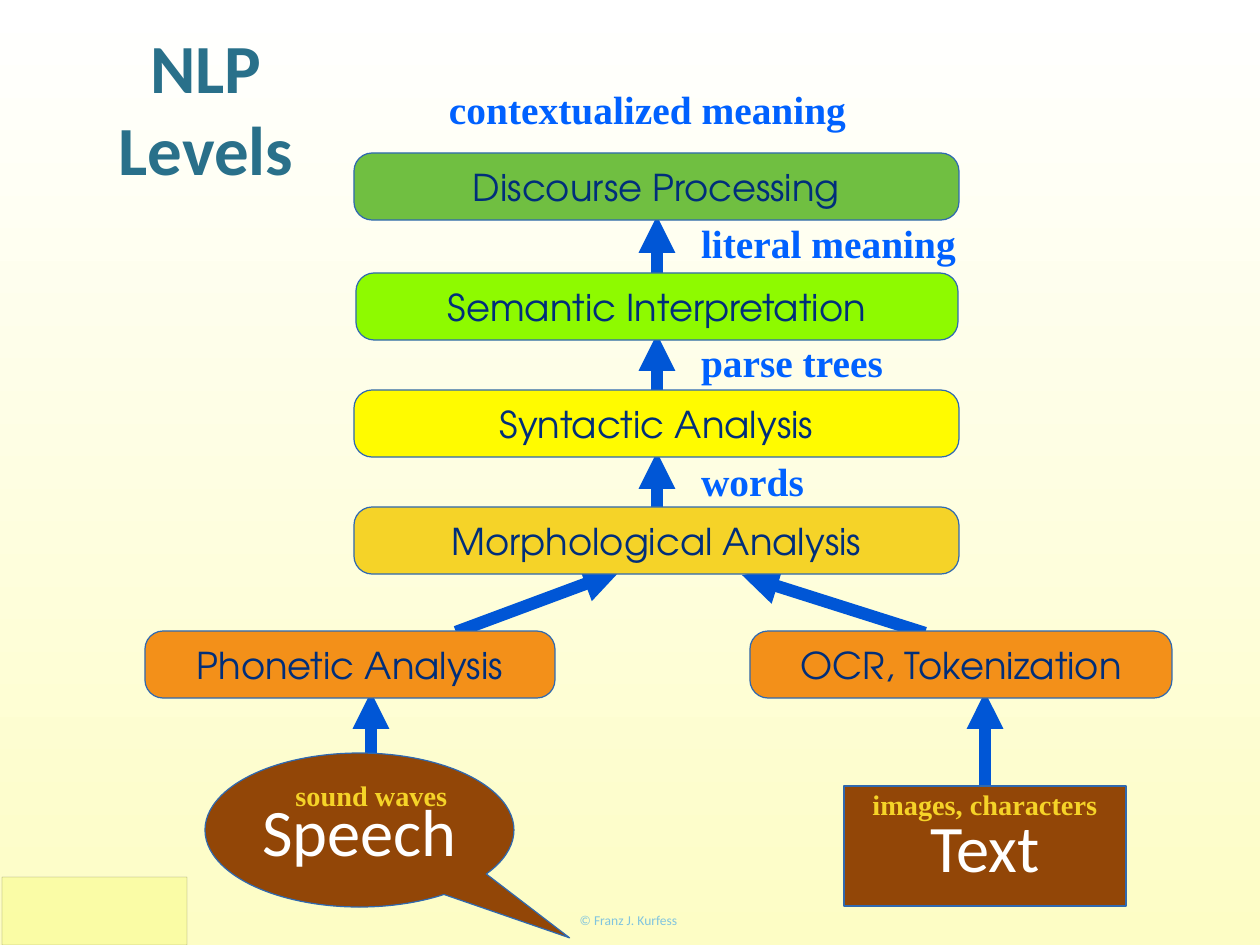
from typing import NamedTuple

from lxml.etree import SubElement
from pptx import Presentation
from pptx.dml.color import RGBColor
from pptx.enum.shapes import MSO_CONNECTOR, MSO_SHAPE
from pptx.enum.text import MSO_ANCHOR, MSO_AUTO_SIZE, PP_ALIGN
from pptx.oxml.ns import qn
from pptx.shapes.autoshape import Shape
from pptx.slide import Slide
from pptx.text.text import TextFrame
from pptx.util import Emu, Pt

PIXEL = 914400 / 88.6
COLORS = {
    "cream": "FDFDC5", "white": "FFFFFF", "corner": "F8FC84", "black": "000000",
    "footer": "80C4DF", "title": "29708A", "arrow": "0056D6", "outline": "2F69B0",
    "source": "924607", "orange": "F39019", "gold": "F5D328", "yellow": "FFFB00",
    "lime": "8EFA00", "green": "70BF41", "navy": "002E7A", "blue": "0061FF",
}


class Area(NamedTuple):
    """Left, top, width and height in pixels."""
    left: int
    top: int
    width: int
    height: int


class TextStyle(NamedTuple):
    """Look of one paragraph, with its box inset in pixels."""
    font: str
    size: int
    color: str
    bold: bool = False
    align: PP_ALIGN = PP_ALIGN.CENTER
    anchor: MSO_ANCHOR = MSO_ANCHOR.MIDDLE
    inset: int = 0
    space_before: int = 0


class Block(NamedTuple):
    """A filled shape with its text."""
    text: str
    area: Area
    fill: str
    kind: MSO_SHAPE
    adjustments: tuple[float, ...]
    style: TextStyle


class Label(NamedTuple):
    """Free text naming what passes between levels."""
    text: str
    area: Area
    style: TextStyle


class Arrow(NamedTuple):
    """Start and end of an arrow in pixels."""
    x1: int
    y1: int
    x2: int
    y2: int


TITLE = TextStyle("Calibri", 56, "title", bold=True, inset=5)
FOOTER = TextStyle("Calibri", 11, "footer", inset=5)
LEVEL = TextStyle("TeX Gyre Adventor", 30, "navy", space_before=20)
SOURCE = TextStyle("Calibri", 54, "white")
MEANING = TextStyle("Times New Roman", 32, "blue", True, PP_ALIGN.LEFT, MSO_ANCHOR.TOP, 4)
SIGNAL = MEANING._replace(size=23, color="gold", align=PP_ALIGN.CENTER)


def level(text: str, left: int, top: int, width: int, fill: str) -> Block:
    """Describe one rounded processing level."""
    return Block(text, Area(left, top, width, 67), fill,
                 MSO_SHAPE.ROUNDED_RECTANGLE, (0.27,), LEVEL)


ARROWS = [Arrow(657, tail, 657, tail - 68) for tail in (520, 402, 284)] + [
    Arrow(371, 760, 371, 692),
    Arrow(985, 786, 985, 692),
    Arrow(925, 633, 742, 575),
    Arrow(456, 632, 620, 571),
]
BLOCKS = [
    Block("Speech", Area(205, 753, 309, 154), "source",
          MSO_SHAPE.OVAL_CALLOUT, (0.68, 0.7), SOURCE),
    Block("Text", Area(844, 786, 282, 120), "source", MSO_SHAPE.RECTANGLE, (), SOURCE),
    level("OCR, Tokenization", 750, 631, 422, "orange"),
    level("Phonetic Analysis", 145, 631, 410, "orange"),
    level("Morphological Analysis", 354, 507, 605, "gold"),
    level("Syntactic Analysis", 354, 390, 605, "yellow"),
    level("Semantic Interpretation", 356, 273, 602, "lime"),
    level("Discourse Processing", 354, 153, 605, "green"),
]
LABELS = [
    Label("© Franz J. Kurfess", Area(423, 903, 411, 34), FOOTER),
    Label("sound waves", Area(284, 774, 175, 44), SIGNAL),
    Label("images, characters", Area(854, 783, 262, 44), SIGNAL),
    Label("contextualized meaning", Area(445, 81, 508, 50), MEANING),
] + [
    Label(text, Area(697, 215 + 119 * row, 283, 50), MEANING)
    for row, text in enumerate(("literal meaning", "parse trees", "words"))
]


def px(length: float) -> Emu:
    """Turn pixels into EMU."""
    return Emu(round(length * PIXEL))


def color(name: str) -> RGBColor:
    """Look up a named colour."""
    return RGBColor.from_string(COLORS[name])


def write(frame: TextFrame, text: str, style: TextStyle) -> None:
    """Put one styled paragraph in a text frame."""
    frame.word_wrap = True
    frame.auto_size = MSO_AUTO_SIZE.NONE
    frame.vertical_anchor = style.anchor
    frame.margin_left = frame.margin_right = px(style.inset)
    frame.margin_top = frame.margin_bottom = px(style.inset)
    frame.text = text
    para = frame.paragraphs[0]
    para.alignment = style.align
    para.space_before = Pt(style.space_before)
    para.font.name = style.font
    para.font.size = Pt(style.size)
    para.font.bold = style.bold
    para.font.color.rgb = color(style.color)


def add_shape(page: Slide, kind: MSO_SHAPE, area: Area, fill: str,
              line: str, weight: float) -> Shape:
    """Draw a flat filled shape."""
    shape = page.shapes.add_shape(kind, *map(px, area))
    shape.shadow.inherit = False
    shape.fill.solid()
    shape.fill.fore_color.rgb = color(fill)
    shape.line.color.rgb = color(line)
    shape.line.width = Pt(weight)
    return shape


def add_corner(page: Slide) -> None:
    """Draw the translucent rectangle in the lower left corner."""
    corner = add_shape(page, MSO_SHAPE.RECTANGLE, Area(2, 877, 185, 68),
                       "corner", "black", 0.25)
    for paint in corner.element.spPr.iter(qn("a:srgbClr")):
        SubElement(paint, qn("a:alpha"), val="48000")


def add_block(page: Slide, block: Block) -> None:
    """Draw a level or a source with its text."""
    shape = add_shape(page, block.kind, block.area, block.fill, "outline", 1)
    for index, value in enumerate(block.adjustments):
        shape.adjustments[index] = value
    write(shape.text_frame, block.text, block.style)


def add_arrow(page: Slide, arrow: Arrow) -> None:
    """Draw a thick arrow."""
    connector = page.shapes.add_connector(MSO_CONNECTOR.STRAIGHT, *map(px, arrow))
    connector.line.color.rgb = color("arrow")
    connector.line.width = Pt(10)
    SubElement(connector.line._get_or_add_ln(), qn("a:tailEnd"), type="triangle")
    SubElement(connector._element.spPr, qn("a:effectLst"))


def add_label(page: Slide, label: Label) -> None:
    """Place free text."""
    box = page.shapes.add_textbox(*map(px, label.area))
    write(box.text_frame, label.text, label.style)


def set_background(page: Slide) -> None:
    """Fade the page from cream at the bottom to white at the top."""
    fill = page.background.fill
    fill.gradient()
    fill.gradient_angle = 90
    for stop, name in zip(fill.gradient_stops, ("cream", "white")):
        stop.color.rgb = color(name)


def set_title(page: Slide) -> None:
    """Move and fill the title placeholder."""
    title = page.shapes.title
    title.left, title.top, title.width, title.height = map(px, Area(75, 0, 262, 214))
    write(title.text_frame, "NLP Levels", TITLE)


deck = Presentation()
deck.slide_width, deck.slide_height = px(1260), px(945)
page = deck.slides.add_slide(deck.slide_layouts.get_by_name("Title Only"))
set_background(page)
set_title(page)
add_corner(page)
for arrow in ARROWS:
    add_arrow(page, arrow)
for block in BLOCKS:
    add_block(page, block)
for label in LABELS:
    add_label(page, label)
deck.save("out.pptx")
